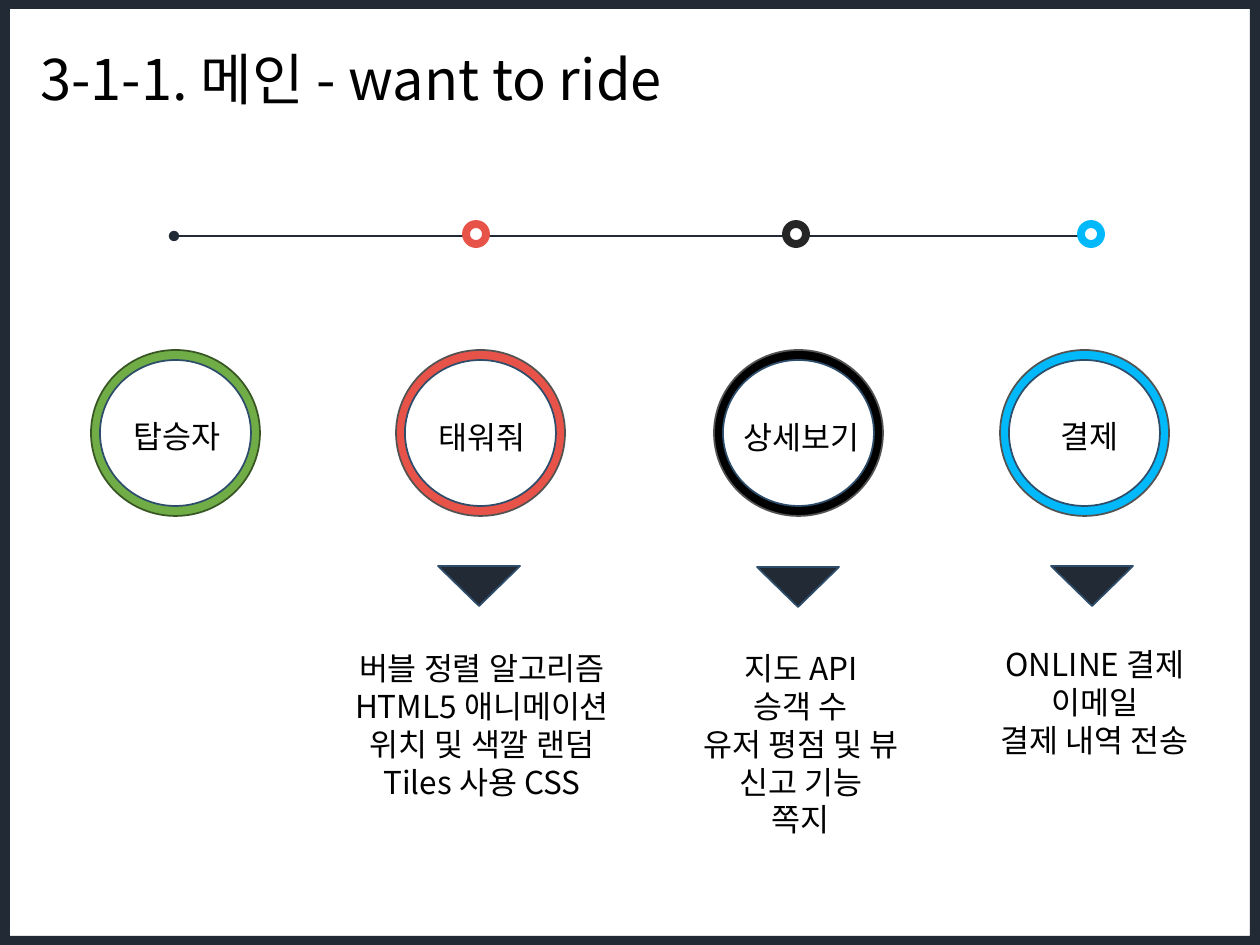
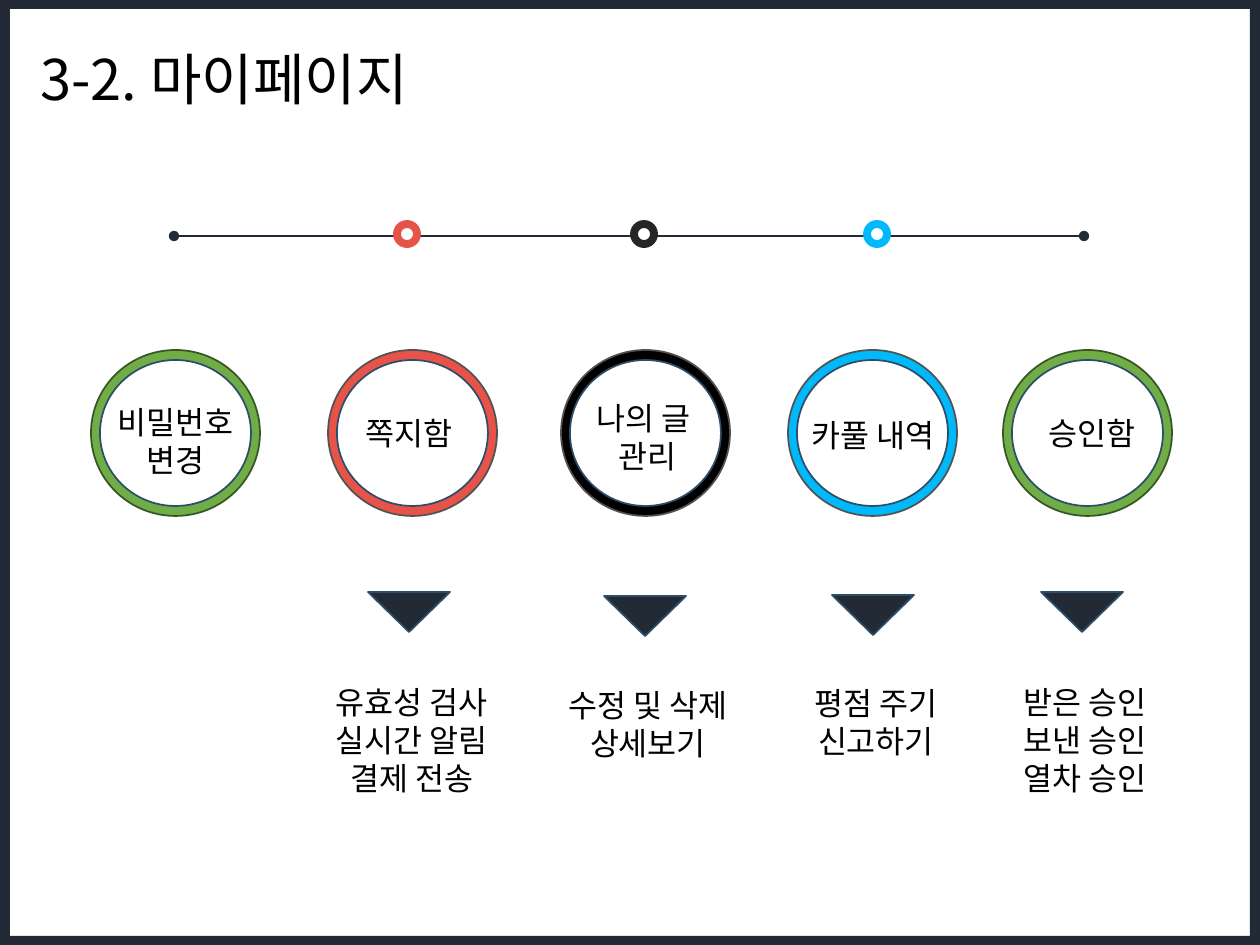
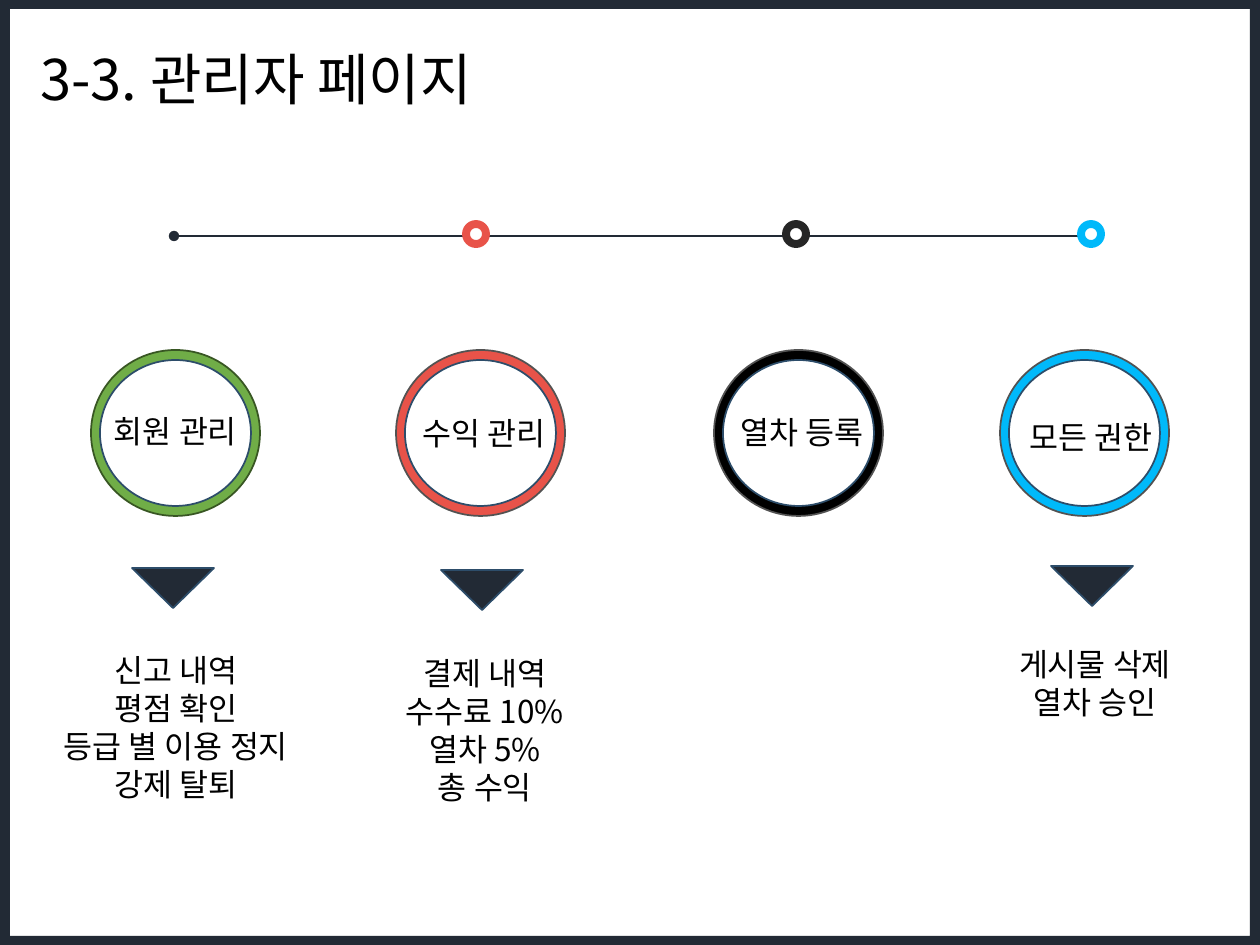
"""Builds three carpool site-map slides: a timeline above ringed page names and their features."""
from collections import namedtuple

from lxml import etree
from pptx import Presentation
from pptx.dml.color import RGBColor
from pptx.enum.shapes import MSO_CONNECTOR, MSO_SHAPE
from pptx.enum.text import MSO_AUTO_SIZE, PP_ALIGN
from pptx.oxml.ns import qn
from pptx.util import Emu, Pt

OVAL, TRIANGLE = MSO_SHAPE.OVAL, MSO_SHAPE.ISOSCELES_TRIANGLE
STRAIGHT = MSO_CONNECTOR.STRAIGHT
LEFT, CENTER = PP_ALIGN.LEFT, PP_ALIGN.CENTER
GROW = MSO_AUTO_SIZE.SHAPE_TO_FIT_TEXT

PX = 914400 / 126
WIDTH, HEIGHT = 1260, 945
FONT = "Noto Sans CJK KR"

BLACK = RGBColor(0x00, 0x00, 0x00)
WHITE = RGBColor(0xFF, 0xFF, 0xFF)
NAVY = RGBColor(0x22, 0x2A, 0x35)
STEEL = RGBColor(0x2D, 0x4D, 0x6A)
GRAY = RGBColor(0x52, 0x52, 0x52)
CHARCOAL = RGBColor(0x26, 0x26, 0x26)
GREEN = RGBColor(0x70, 0xAD, 0x47)
DARK_GREEN = RGBColor(0x38, 0x56, 0x23)
RED = RGBColor(0xE8, 0x53, 0x49)
BLUE = RGBColor(0x00, 0xB9, 0xFA)

TITLE_FORMAT = {"name": FONT, "size": Pt(32)}
BODY_FORMAT = {"name": FONT, "size": Pt(18)}

RING_TOP, RING_WIDTH, RING_HEIGHT = 350, 169, 166
RIM_X, RIM_Y = 9, 10
TIMELINE_Y, TIMELINE_START, TIMELINE_END = 236, 174, 1084
NODE_TOP, NODE_SIZE = 224, 20
NODE_COLORS = (RED, CHARCOAL, BLUE)
ARROW_WIDTH, ARROW_HEIGHT = 82, 40
FEATURES_WIDTH, FEATURES_SHIFT = 402, 157
LINE_HEIGHT, TEXT_PADDING = 38, 13

Label = namedtuple("Label", "left top width align lines")
Features = namedtuple("Features", "arrow_left arrow_top top lines")
Page = namedtuple("Page", "ring_left color label features", defaults=(None,))
Section = namedtuple("Section", "title title_width nodes pages")

SECTIONS = (
    Section("3-1-1. 메인 - want to ride", 832, (466, 786, 1081), (
        Page(91, GREEN, Label(121, 411, 126, LEFT, ["탑승자"])),
        Page(396, RED, Label(426, 412, 126, LEFT, ["태워줘"]),
             Features(438, 566, 643, ["버블 정렬 알고리즘", "HTML5 애니메이션",
                                      "위치 및 색깔 랜덤", "Tiles 사용 CSS"])),
        Page(714, BLACK, Label(731, 412, 159, LEFT, ["상세보기"]),
             Features(757, 567, 643, ["지도 API", "승객 수", "유저 평점 및 뷰",
                                      "신고 기능", "쪽지"])),
        Page(1000, BLUE, Label(1048, 411, 126, LEFT, ["결제"]),
             Features(1051, 566, 639, ["ONLINE 결제", "이메일", "결제 내역 전송"])),
    )),
    Section("3-2. 마이페이지", 481, (397, 634, 867), (
        Page(91, GREEN, Label(78, 397, 195, CENTER, ["비밀번호", "변경"])),
        Page(328, RED, Label(353, 408, 163, LEFT, ["쪽지함"]),
             Features(368, 592, 677, ["유효성 검사", "실시간 알림", "결제 전송"])),
        Page(561, BLACK, Label(568, 393, 159, CENTER, ["나의 글 ", "관리"]),
             Features(604, 596, 680, ["수정 및 삭제", "상세보기"])),
        Page(788, BLUE, Label(799, 410, 163, LEFT, ["카풀 내역"]),
             Features(832, 595, 678, ["평점 주기", "신고하기"])),
        Page(1003, GREEN, Label(1036, 408, 171, LEFT, ["승인함"]),
             Features(1041, 592, 677, ["받은 승인", "보낸 승인", "열차 승인"])),
    )),
    Section("3-3. 관리자 페이지", 533, (466, 786, 1081), (
        Page(91, GREEN, Label(78, 406, 195, CENTER, ["회원 관리"]),
             Features(132, 568, 645, ["신고 내역", "평점 확인", "등급 별 이용 정지",
                                      "강제 탈퇴"])),
        Page(396, RED, Label(410, 408, 163, LEFT, ["수익 관리"]),
             Features(441, 570, 648, ["결제 내역", "수수료 10%", "열차 5%", "총 수익"])),
        Page(714, BLACK, Label(722, 407, 159, CENTER, ["열차 등록"])),
        Page(1000, BLUE, Label(1017, 412, 252, LEFT, ["모든 권한"]),
             Features(1051, 566, 639, ["게시물 삭제", "열차 승인"])),
    )),
)


def px(*lengths):
    """Turn pixel lengths into EMU."""
    return [Emu(round(length * PX)) for length in lengths]


def add_figure(slide, preset, box, fill, line, line_width=1):
    """Add a filled and outlined preset shape."""
    figure = slide.shapes.add_shape(preset, *px(*box))
    figure.shadow.inherit = False
    figure.fill.solid()
    figure.fill.fore_color.rgb = fill
    figure.line.color.rgb = line
    figure.line.width = Pt(line_width)
    return figure


def add_text(slide, box, lines, text_format, align=LEFT, wrap=True):
    """Add a text box with one paragraph per line."""
    frame = slide.shapes.add_textbox(*px(*box)).text_frame
    frame.word_wrap = wrap
    frame.auto_size = GROW
    for index, line in enumerate(lines):
        paragraph = frame.paragraphs[0] if index == 0 else frame.add_paragraph()
        paragraph.alignment = align
        run = paragraph.add_run()
        run.text = line
        for attribute, value in text_format.items():
            setattr(run.font, attribute, value)
        run.font.color.rgb = BLACK
        etree.SubElement(run.font._element, qn("a:ea"), typeface=FONT)


def add_border(slide):
    """Add the dark band that runs around the slide."""
    inner_left, inner_top, inner_right, inner_bottom = 10, 9, WIDTH - 10, HEIGHT - 9
    builder = slide.shapes.build_freeform(0, 0, scale=PX)
    builder.add_line_segments([(WIDTH, 0), (WIDTH, HEIGHT), (0, HEIGHT)])
    builder.move_to(inner_left, inner_top)
    builder.add_line_segments([(inner_left, inner_bottom), (inner_right, inner_bottom),
                               (inner_right, inner_top)])
    border = builder.convert_to_shape()
    border.shadow.inherit = False
    border.fill.solid()
    border.fill.fore_color.rgb = NAVY
    border.line.fill.background()


def add_timeline(slide, nodes):
    """Add the horizontal line with round ends and its coloured nodes."""
    timeline = slide.shapes.add_connector(
        STRAIGHT, *px(TIMELINE_END, TIMELINE_Y, TIMELINE_START, TIMELINE_Y))
    timeline.line.color.rgb = NAVY
    timeline.line.width = Pt(1.25)
    properties = timeline._element.spPr
    for end in ("a:headEnd", "a:tailEnd"):
        etree.SubElement(properties.find(qn("a:ln")), qn(end), type="oval")
    etree.SubElement(properties, qn("a:effectLst"))
    for left, color in zip(nodes, NODE_COLORS):
        add_figure(slide, OVAL, (left, NODE_TOP, NODE_SIZE, NODE_SIZE), WHITE, color, 4.5)


def add_ring(slide, left, color):
    """Add a coloured disc with a white disc inside it."""
    outline = DARK_GREEN if color == GREEN else GRAY
    add_figure(slide, OVAL, (left, RING_TOP, RING_WIDTH, RING_HEIGHT), color, outline)
    add_figure(slide, OVAL, (left + RIM_X, RING_TOP + RIM_Y, RING_WIDTH - 2 * RIM_X,
                             RING_HEIGHT - 2 * RIM_Y), WHITE, STEEL)


def add_features(slide, features):
    """Add the downward arrow and the list of features under it."""
    arrow = add_figure(slide, TRIANGLE, (features.arrow_left, features.arrow_top,
                                         ARROW_WIDTH, ARROW_HEIGHT), NAVY, STEEL)
    arrow.rotation = 180
    height = LINE_HEIGHT * len(features.lines) + TEXT_PADDING
    add_text(slide, (features.arrow_left - FEATURES_SHIFT, features.top, FEATURES_WIDTH, height),
             features.lines, BODY_FORMAT, CENTER)


def add_page(slide, page):
    """Add one page: ring, name and, if it has any, features."""
    add_ring(slide, page.ring_left, page.color)
    label = page.label
    height = LINE_HEIGHT * len(label.lines) + TEXT_PADDING
    add_text(slide, (label.left, label.top, label.width, height),
             label.lines, BODY_FORMAT, label.align)
    if page.features:
        add_features(slide, page.features)


def main():
    """Build and save the deck."""
    deck = Presentation()
    deck.slide_width, deck.slide_height = px(WIDTH, HEIGHT)
    blank = deck.slide_layouts[6]
    for section in SECTIONS:
        slide = deck.slides.add_slide(blank)
        add_border(slide)
        add_text(slide, (28, 38, section.title_width, 81), [section.title],
                 TITLE_FORMAT, wrap=False)
        add_timeline(slide, section.nodes)
        for page in section.pages:
            add_page(slide, page)
    deck.save("out.pptx")


if __name__ == "__main__":
    main()
